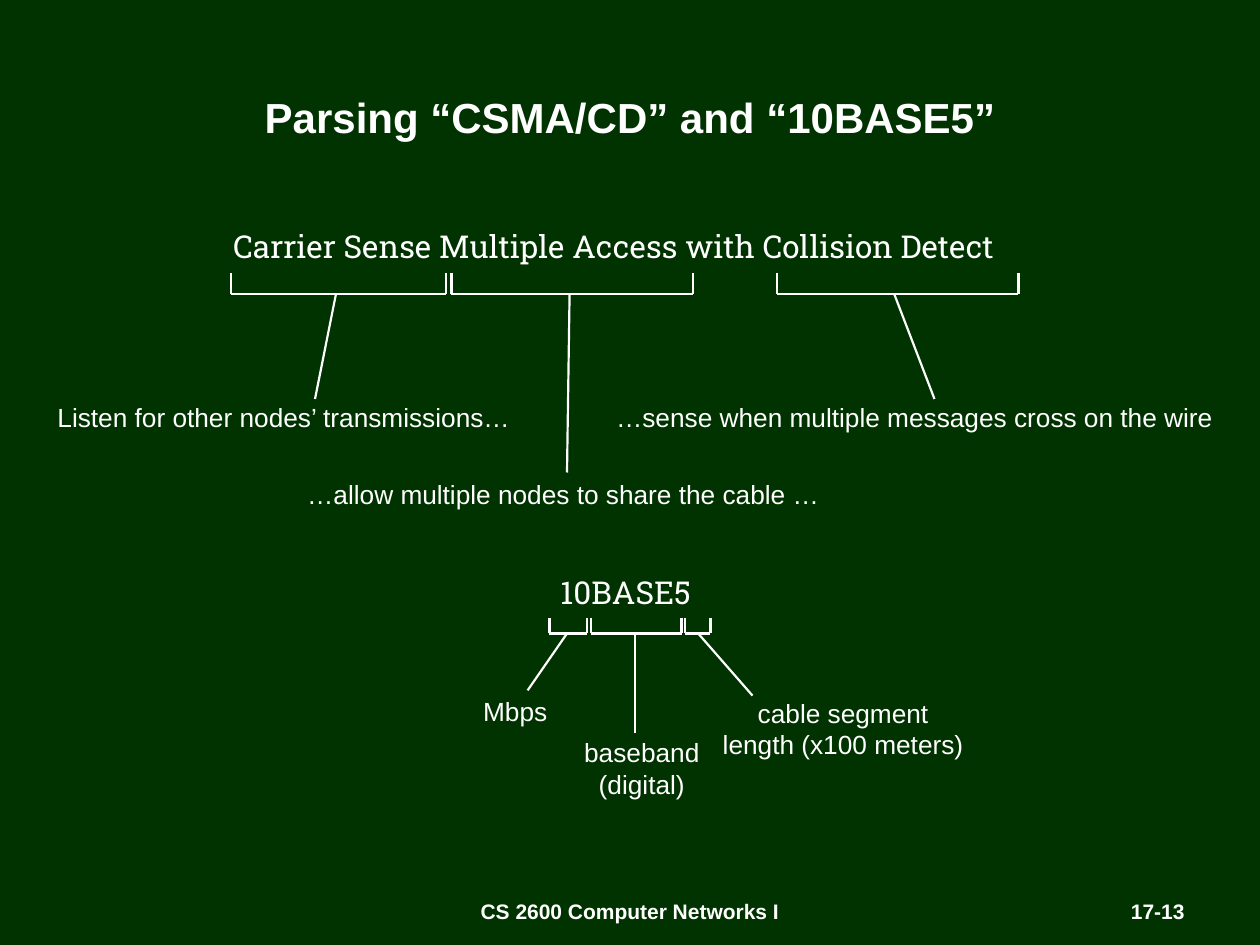
from dataclasses import dataclass

from lxml.etree import SubElement
from pptx import Presentation
from pptx.dml.color import RGBColor
from pptx.enum.shapes import MSO_CONNECTOR as Connector
from pptx.enum.text import MSO_ANCHOR as Anchor, MSO_AUTO_SIZE as AutoSize, PP_ALIGN as Align
from pptx.oxml.ns import qn
from pptx.util import Pt


@dataclass(frozen=True)
class Theme:
    background: RGBColor = RGBColor(0x00, 0x33, 0x00)
    ink: RGBColor = RGBColor(0xFF, 0xFF, 0xFF)
    sans: str = "Arial"
    slab: str = "Roboto Slab"
    title: int = 24
    term: int = 18
    label: int = 15
    footer: int = 12
    line: float = 1.25


theme = Theme()


def add_text(text, box, shape=None, size=theme.label, font=theme.sans, bold=False,
             align=Align.LEFT, anchor=Anchor.TOP, wrap=True):
    left, top, width, height = map(Pt, box)
    if shape is None:
        shape = slide.shapes.add_textbox(left, top, width, height)
    shape.left, shape.top, shape.width, shape.height = left, top, width, height
    frame = shape.text_frame
    frame.text = text
    frame.word_wrap = wrap
    frame.auto_size = AutoSize.NONE
    frame.vertical_anchor = anchor
    for paragraph in frame.paragraphs:
        paragraph.alignment = align
        paragraph.space_before = Pt(0)
        paragraph.font.name = font
        paragraph.font.size = Pt(size)
        paragraph.font.bold = bold
        paragraph.font.color.rgb = theme.ink
    return shape


def add_line(group, start, end):
    line = group.shapes.add_connector(Connector.STRAIGHT, *map(Pt, (*start, *end)))
    line.line.color.rgb = theme.ink
    line.line.width = Pt(theme.line)
    SubElement(line._element.spPr, qn("a:effectLst"))


presentation = Presentation()
presentation.slide_width = Pt(720)
presentation.slide_height = Pt(540)
slide = presentation.slides.add_slide(presentation.slide_layouts[1])
slide.background.fill.solid()
slide.background.fill.fore_color.rgb = theme.background

add_text("Parsing “CSMA/CD” and “10BASE5”", (36, 21.6, 648, 90), shape=slide.shapes.title,
         size=theme.title, bold=True, align=Align.CENTER, anchor=Anchor.MIDDLE)

body = add_text("Carrier Sense Multiple Access with Collision Detect", (126, 126, 468, 30),
                shape=slide.placeholders[1], size=theme.term, font=theme.slab)
properties = body.text_frame.paragraphs[0]._p.get_or_add_pPr()
properties.set("marL", "0")
properties.set("indent", "0")
SubElement(properties, qn("a:buNone"))
properties.insert_element_before(properties.find(qn("a:buNone")), "a:tabLst", "a:defRPr", "a:extLst")

add_text("10BASE5", (301.5, 324, 112, 29), size=theme.term, font=theme.slab, align=Align.CENTER)

bracket_rows = [
    (156, 168, [
        (132, 255, 192, (180, 228)),
        (258, 396, 325.5, (324, 270)),
        (444, 582, 511, (534, 228)),
    ]),
    (353, 362, [
        (314, 335.5, 324, (301.5, 394.5)),
        (337.5, 389.5, 363, (363, 419)),
        (391.5, 406, 399, (430, 397.5)),
    ]),
]
for top, bottom, brackets in bracket_rows:
    for left, right, stem, tip in brackets:
        group = slide.shapes.add_group_shape()
        add_line(group, (left, bottom), (right, bottom))
        add_line(group, (left, top), (left, bottom))
        add_line(group, (right, top), (right, bottom))
        add_line(group, (stem, bottom), tip)

labels = [
    ("Listen for other nodes’ transmissions…", (25.75, 226, 284, 25), Align.LEFT, True),
    ("…sense when multiple messages cross on the wire", (345, 226, 364, 25), Align.LEFT, True),
    ("…allow multiple nodes to share the cable …", (168.5, 269.5, 310, 25), Align.LEFT, False),
    ("Mbps", (269, 394, 52, 25), Align.LEFT, False),
    ("baseband\n(digital)", (324, 417.5, 85.5, 44), Align.CENTER, False),
    ("cable segment\nlength (x100 meters)", (405, 394.75, 153.5, 44), Align.CENTER, False),
]
for text, box, align, wrap in labels:
    add_text(text, box, align=align, wrap=wrap)

for text, box, align in [
    ("CS 2600 Computer Networks I", (144, 510, 432, 19.5), Align.CENTER),
    ("17-13", (516, 510, 168, 19.5), Align.RIGHT),
]:
    add_text(text, box, size=theme.footer, bold=True, align=align)

presentation.save("out.pptx")
